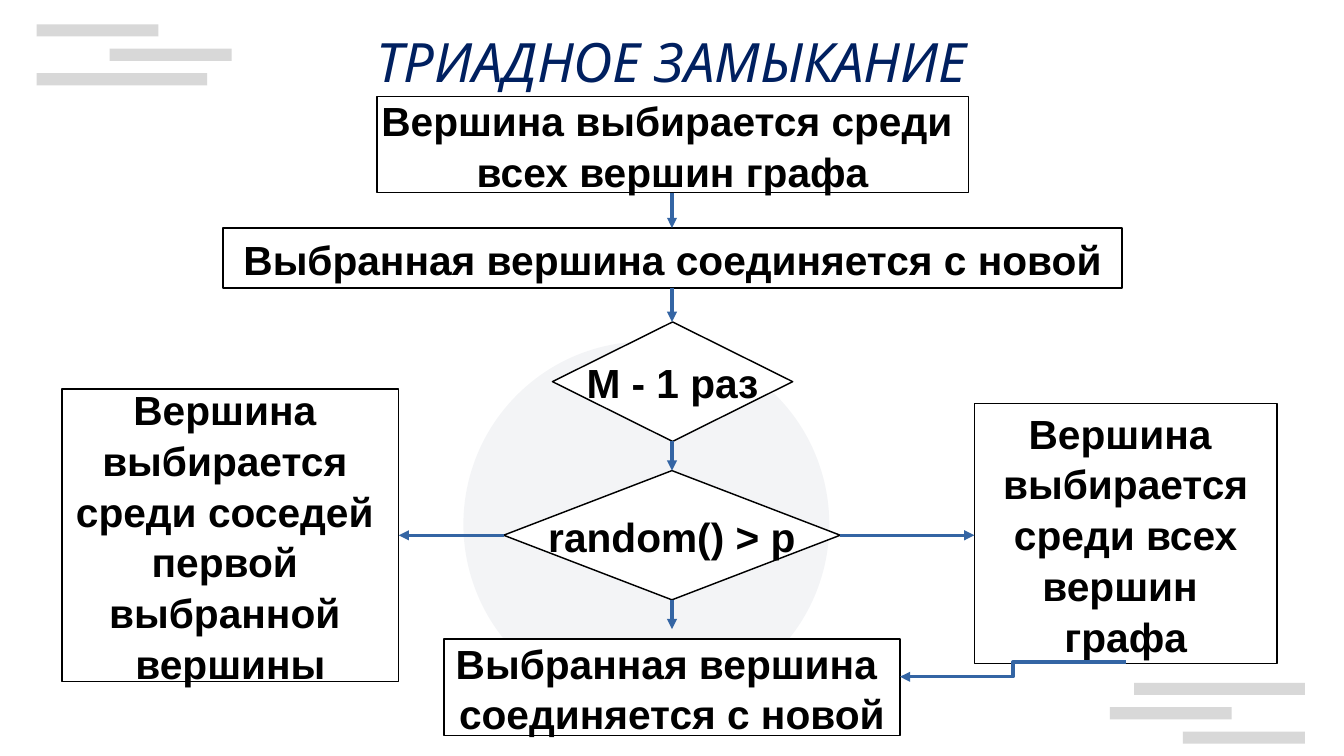
from lxml import etree
from pptx import Presentation
from pptx import util as u
from pptx.dml import color
from pptx.enum import shapes, text
from pptx.oxml import ns

PX = 9144  # 100 px to the inch


def paint(fmt, hex_color, alpha=100):
    """Make a fill solid, with an opacity in percent."""
    fmt.solid()
    fmt.fore_color.rgb = color.RGBColor.from_string(hex_color)
    if alpha < 100:
        clr = fmt._xPr.find(ns.qn("a:solidFill"))[0]
        etree.SubElement(clr, ns.qn("a:alpha"), val=str(alpha * 1000))


def write(tf, lines, size, font, hex_color, line_spacing, **style):
    tf.auto_size = text.MSO_AUTO_SIZE.NONE
    tf.vertical_anchor = text.MSO_ANCHOR.MIDDLE
    for i, line in enumerate(lines):
        p = tf.add_paragraph() if i else tf.paragraphs[0]
        p.alignment = text.PP_ALIGN.CENTER
        p.line_spacing = line_spacing
        r = p.add_run()
        r.text = line
        paint(r.font.fill, hex_color)
        for name, value in {"size": u.Pt(size), "name": font, **style}.items():
            setattr(r.font, name, value)


prs = Presentation()
prs.slide_width, prs.slide_height = 1102 * PX, 620 * PX
s = prs.slides.add_slide(prs.slide_layouts[5])
kinds, links = shapes.MSO_SHAPE, shapes.MSO_CONNECTOR

# Background decoration
decor = [(kinds.RECTANGLE, x, y, w, 10, "CCCCCC", 75) for x, y, w in [
    (930, 560, 140), (910, 580, 100), (970, 600, 100),
    (30, 60, 140), (90, 40, 100), (30, 20, 100)]]
decor.append((kinds.OVAL, 380, 280, 300, 300, "8D99AE", 10))
for kind, x, y, w, h, fill, alpha in decor:
    sp = s.shapes.add_shape(kind, x * PX, y * PX, w * PX, h * PX)
    sp.shadow.inherit = False
    paint(sp.fill, fill, alpha)
    sp.line.fill.background()

# Title
title = s.shapes.title
for name, value in {"left": 256, "top": 29, "width": 590, "height": 49}.items():
    setattr(title, name, value * PX)
tf = title.text_frame
tf.margin_left = tf.margin_top = tf.margin_right = tf.margin_bottom = 0
write(tf, ["ТРИАДНОЕ ЗАМЫКАНИЕ"], 32, "Noto Sans", "002060", 0.9, italic=True)

# Flowchart steps
process, decision = kinds.FLOWCHART_PROCESS, kinds.FLOWCHART_DECISION
steps = [
    (process, 309, 79, 485, 79, ["Вершина выбирается среди ", "всех вершин графа"]),
    (decision, 413, 386, 276, 106, ["random() > p"]),
    (decision, 453, 264, 197, 98, ["M - 1 раз"]),
    (process, 799, 331, 248, 213,
     ["Вершина ", "выбирается", " среди всех ", "вершин ", "графа"]),
    (process, 183, 187, 737, 49, ["Выбранная вершина соединяется с новой"]),
    (process, 364, 524, 374, 79, ["Выбранная вершина ", "соединяется с новой"]),
    (process, 51, 319, 276, 240,
     ["Вершина ", "выбирается ", "среди соседей ", "первой ", "выбранной ", "вершины"]),
]
for kind, x, y, w, h, lines in steps:
    sp = s.shapes.add_shape(kind, x * PX, y * PX, w * PX, h * PX)
    sp.shadow.inherit = False
    paint(sp.fill, "FFFFFF")
    paint(sp.line.fill, "000000")
    sp.line.width = u.Pt(0.85)
    sp.text_frame.word_wrap = False
    write(sp.text_frame, lines, 24, "Arial", "000000", 1.04, bold=True)

# Arrows between the steps
arrows = [
    (links.STRAIGHT, 689, 439, 799, 439),
    (links.STRAIGHT, 413, 439, 327, 439),
    (links.STRAIGHT, 551, 492, 551, 516),
    (links.ELBOW, 923, 543, 738, 555),
    (links.STRAIGHT, 551, 236, 551, 264),
    (links.STRAIGHT, 551, 362, 551, 386),
    (links.ELBOW, 551, 187, 551, 187),
    (links.STRAIGHT, 551, 158, 551, 187),
]
for kind, *ends in arrows:
    arrow = s.shapes.add_connector(kind, *(v * PX for v in ends))
    paint(arrow.line.fill, "3465A4")
    arrow.line.width = 0
    sp_pr = arrow._element.spPr
    etree.SubElement(sp_pr.find(ns.qn("a:ln")), ns.qn("a:tailEnd"), type="triangle")
    etree.SubElement(sp_pr, ns.qn("a:effectLst"))

prs.save("out.pptx")
